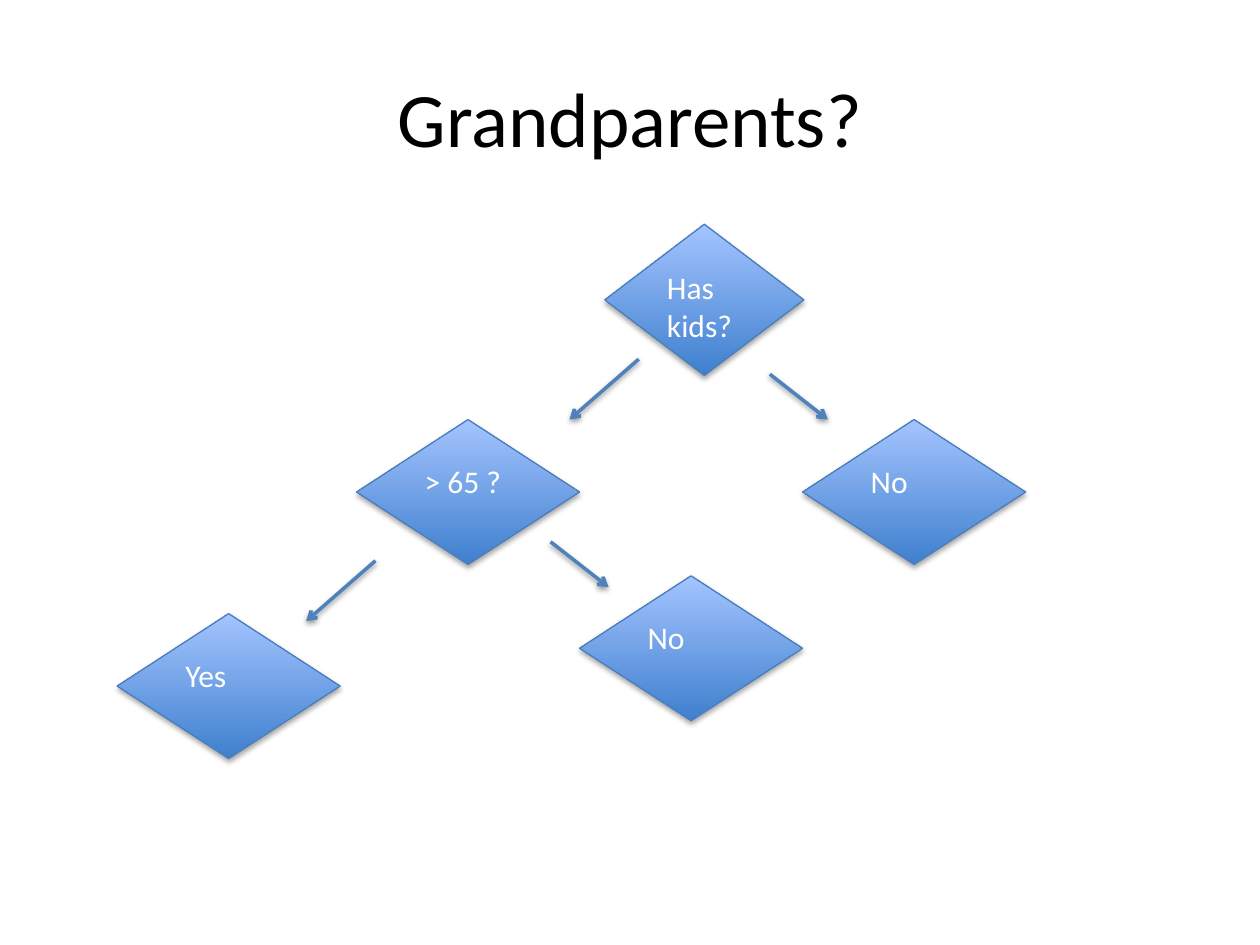
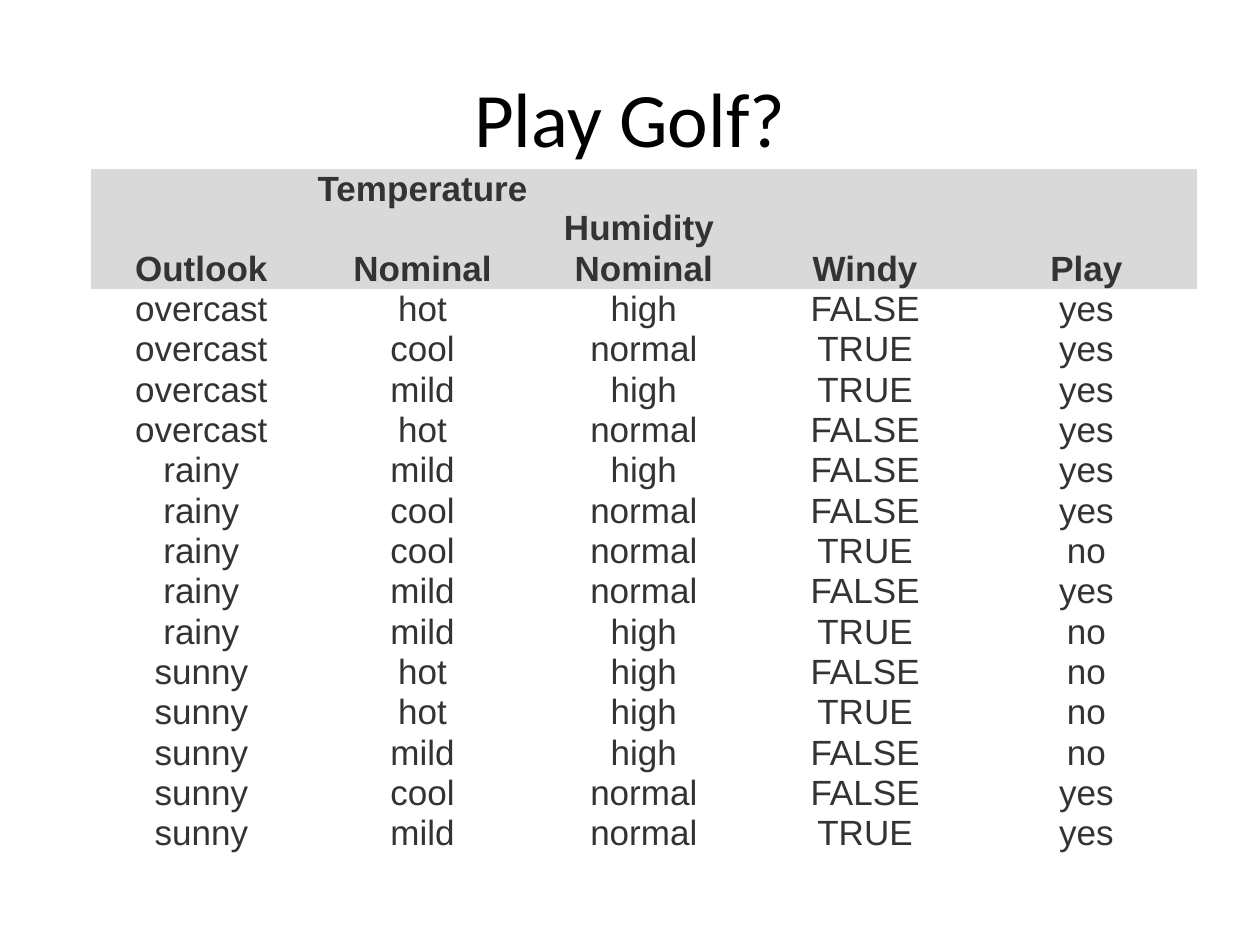
from lxml.etree import SubElement
from pptx import Presentation
from pptx.dml.color import RGBColor
from pptx.enum.shapes import MSO_CONNECTOR, MSO_SHAPE
from pptx.enum.text import MSO_ANCHOR, PP_ALIGN
from pptx.oxml.ns import qn
from pptx.util import Inches, Pt

BLACK, WHITE = "000000", "FFFFFF"
GRADIENT_BOTTOM, GRADIENT_TOP = "3F80CE", "A4C4FF"
NODE_LINE, ARROW_LINE = "4B7EBC", "4F81BD"
HEADER_FILL, TABLE_TEXT = "D9D9D9", "333333"
PLAIN_TABLE_STYLE = "{2D5ABB26-0587-4C30-8999-92F81FD0307C}"

TITLE_BOX = (0.5, 0.3, 9, 1.25)
TREE_BOX = (0.93, 1.78, 7.21, 4.24)
TABLE_BOX = (0.72, 1.34, 8.78, 5.26)

NODE_SIZE = (1.77, 1.15)
NODES = [
    ("Has kids?", 3.87, 0, (1.58, 1.2)),
    ("> 65 ?", 1.9, 1.55, NODE_SIZE),
    ("No", 5.44, 1.55, NODE_SIZE),
    ("Yes", 0, 3.09, NODE_SIZE),
    ("No", 3.67, 2.79, NODE_SIZE),
]
LEFT_STEP, RIGHT_STEP = (-0.55, 0.48), (0.46, 0.36)
ARROWS = [
    (5.18, 1.19, RIGHT_STEP),
    (4.14, 1.07, LEFT_STEP),
    (2.05, 2.67, LEFT_STEP),
    (3.44, 2.52, RIGHT_STEP),
]

HEADERS = [
    ("Outlook", None),
    ("Temperature\u00a0", "Nominal"),
    ("Humidity\u00a0", "Nominal"),
    ("Windy", None),
    ("Play", None),
]
RECORDS = [line.split() for line in """
overcast hot high FALSE yes
overcast cool normal TRUE yes
overcast mild high TRUE yes
overcast hot normal FALSE yes
rainy mild high FALSE yes
rainy cool normal FALSE yes
rainy cool normal TRUE no
rainy mild normal FALSE yes
rainy mild high TRUE no
sunny hot high FALSE no
sunny hot high TRUE no
sunny mild high FALSE no
sunny cool normal FALSE yes
sunny mild normal TRUE yes
""".strip().splitlines()]


def color(value):
    return RGBColor.from_string(value)


def write(text_frame, text, size, font, text_color, align, bold=False):
    paragraph = text_frame.paragraphs[0]
    paragraph.alignment = align
    run = paragraph.add_run()
    run.text = text
    run.font.size = Pt(size)
    run.font.name = font
    run.font.bold = bold
    run.font.color.rgb = color(text_color)


def add_shadow(shape, opacity, distance):
    effects = SubElement(shape._element.spPr, qn("a:effectLst"))
    shadow = SubElement(effects, qn("a:outerShdw"), blurRad=str(Pt(3.1)),
                        dist=str(Pt(distance)), dir="5400000", rotWithShape="0")
    shade = SubElement(shadow, qn("a:srgbClr"), val=BLACK)
    SubElement(shade, qn("a:alpha"), val=str(opacity * 1000))


def add_titled_slide(presentation, title):
    slide = presentation.slides.add_slide(presentation.slide_layouts[5])
    shape = slide.shapes.title
    shape.left, shape.top, shape.width, shape.height = map(Inches, TITLE_BOX)
    shape.text_frame.vertical_anchor = MSO_ANCHOR.MIDDLE
    write(shape.text_frame, title, 44, "Calibri", BLACK, PP_ALIGN.CENTER)
    return slide


def add_node(slide, text, left, top, size):
    node = slide.shapes.add_shape(MSO_SHAPE.DIAMOND, *map(Inches, (left, top, *size)))
    node.fill.gradient()
    node.fill.gradient_angle = 90
    stops = zip(node.fill.gradient_stops, (0, 1), (GRADIENT_BOTTOM, GRADIENT_TOP))
    for stop, position, shade in stops:
        stop.position = position
        stop.color.rgb = color(shade)
    node.line.color.rgb = color(NODE_LINE)
    node.line.width = Pt(0.75)
    add_shadow(node, 35, 1.8)
    node.text_frame.vertical_anchor = MSO_ANCHOR.TOP
    write(node.text_frame, text, 18, "Calibri", WHITE, PP_ALIGN.LEFT)


def add_arrow(slide, left, top, step):
    ends = (left, top, left + step[0], top + step[1])
    arrow = slide.shapes.add_connector(MSO_CONNECTOR.STRAIGHT, *map(Inches, ends))
    arrow.line.color.rgb = color(ARROW_LINE)
    arrow.line.width = Pt(2)
    SubElement(arrow.line._get_or_add_ln(), qn("a:tailEnd"), type="arrow")
    add_shadow(arrow, 38, 1.6)


def add_decision_tree(slide, box):
    left, top = box[:2]
    for text, across, down, size in NODES:
        add_node(slide, text, left + across, top + down, size)
    for across, down, step in ARROWS:
        add_arrow(slide, left + across, top + down, step)


def fill_cell(cell, text, header=False):
    cell.vertical_anchor = MSO_ANCHOR.BOTTOM
    cell.margin_left = cell.margin_right = cell.margin_top = Inches(0.01)
    cell.margin_bottom = 0
    if header:
        cell.fill.solid()
        cell.fill.fore_color.rgb = color(HEADER_FILL)
    else:
        cell.fill.background()
    write(cell.text_frame, text, 20, "Arial", TABLE_TEXT, PP_ALIGN.CENTER, header)


def add_golf_table(slide, box):
    row_count = len(RECORDS) + 2
    frame = slide.shapes.add_table(row_count, len(HEADERS), *map(Inches, box))
    table = frame.table
    table.first_row = table.horz_banding = False
    table._tbl.tblPr.find(qn("a:tableStyleId")).text = PLAIN_TABLE_STYLE
    for row in table.rows:
        row.height = Inches(0.31)
    table.rows[0].height = Inches(0.61)
    for column, (upper, lower) in enumerate(HEADERS):
        cell = table.cell(0, column)
        if lower:
            fill_cell(table.cell(1, column), lower, header=True)
        else:
            cell.merge(table.cell(1, column))
        fill_cell(cell, upper, header=True)
    for row, record in enumerate(RECORDS, start=2):
        for column, value in enumerate(record):
            fill_cell(table.cell(row, column), value)


presentation = Presentation()
presentation.slide_width, presentation.slide_height = Inches(10), Inches(7.5)
add_decision_tree(add_titled_slide(presentation, "Grandparents?"), TREE_BOX)
add_golf_table(add_titled_slide(presentation, "Play Golf?"), TABLE_BOX)
presentation.save("out.pptx")
